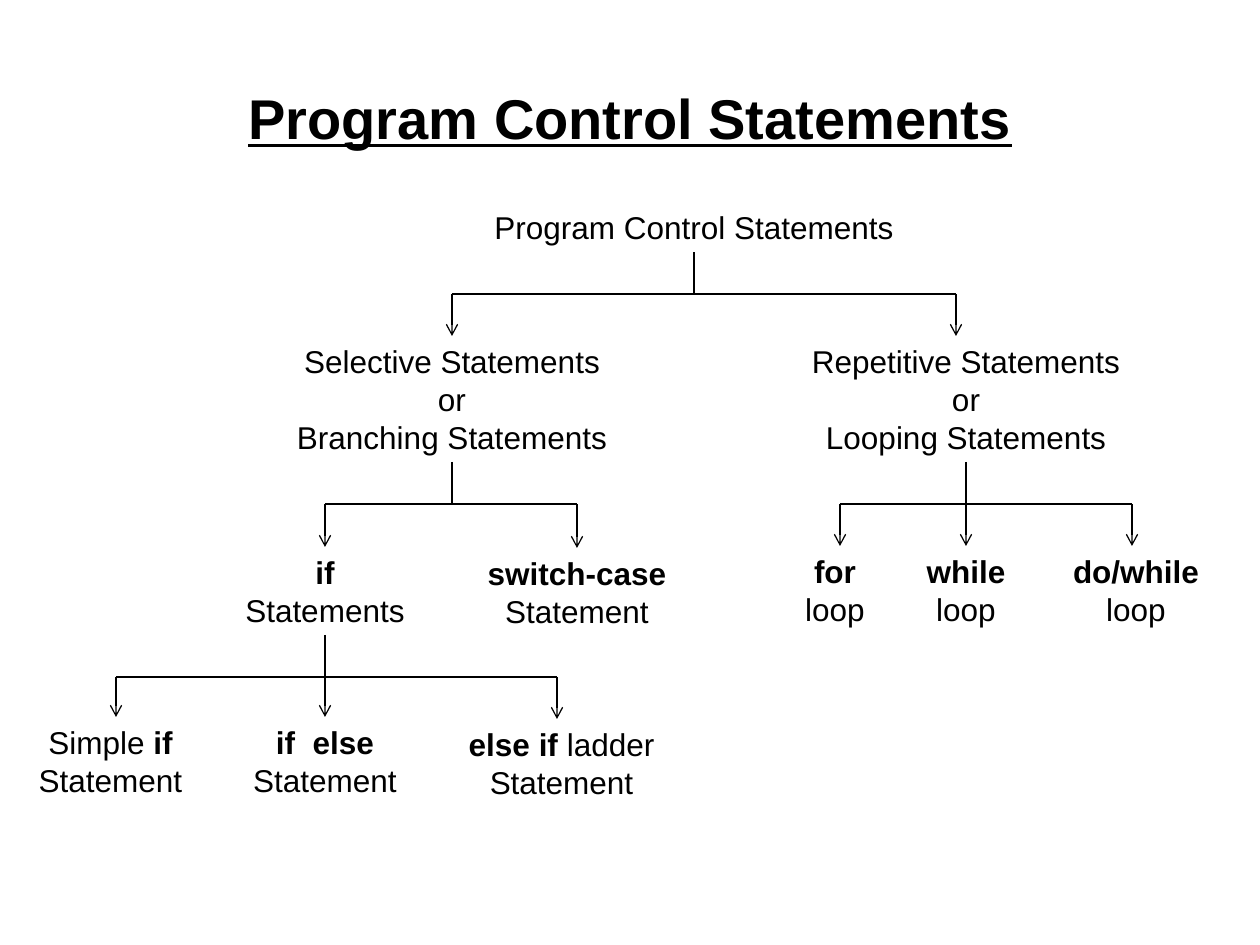
from lxml import etree
from pptx import Presentation
from pptx import util as u
from pptx.dml.color import RGBColor
from pptx.enum import shapes, text
from pptx.oxml.ns import qn

BLACK = RGBColor(0, 0, 0)
EMU_PER_PX = 914400 / 126


def px(length):
    return u.Emu(round(length * EMU_PER_PX))


def center_x(shape):
    return shape.left + shape.width // 2


class TreeSlide:
    font_name = "Arial"
    color = BLACK
    line_width = u.Pt(0.75)

    def __init__(self, slide):
        self.slide = slide

    def textbox(self, left, top, width, height):
        box = self.slide.shapes.add_textbox(px(left), px(top), px(width), px(height))
        box.text_frame.word_wrap = True
        return box

    def style(self, paragraph, size):
        paragraph.alignment = text.PP_ALIGN.CENTER
        font = paragraph.font
        font.name, font.size, font.color.rgb = self.font_name, u.Pt(size), self.color

    def title(self, wording, left, top, width, height):
        frame = self.textbox(left, top, width, height).text_frame
        frame.vertical_anchor = text.MSO_ANCHOR.MIDDLE
        paragraph = frame.paragraphs[0]
        paragraph.text = wording
        self.style(paragraph, 32)
        paragraph.font.bold = paragraph.font.underline = True

    def node(self, lines, left, top, width, height):
        """Add a label; parts between asterisks are bold."""
        box = self.textbox(left, top, width, height)
        frame = box.text_frame
        frame.auto_size = text.MSO_AUTO_SIZE.SHAPE_TO_FIT_TEXT
        for index, line in enumerate(lines):
            paragraph = frame.add_paragraph() if index else frame.paragraphs[0]
            self.style(paragraph, 18)
            for part, wording in enumerate(line.split("*")):
                if wording:
                    run = paragraph.add_run()
                    run.text = wording
                    if part % 2:
                        run.font.bold = True
        return box

    def line(self, x1, y1, x2, y2, arrow=False):
        connector = self.slide.shapes.add_connector(
            shapes.MSO_CONNECTOR.STRAIGHT, x1, y1, x2, y2)
        connector.line.color.rgb = self.color
        connector.line.width = self.line_width
        if arrow:
            tail = etree.SubElement(connector.line._get_or_add_ln(), qn("a:tailEnd"))
            tail.set("type", "arrow")
        etree.SubElement(connector._element.spPr, qn("a:effectLst"))
        return connector

    def branch(self, parent, bar_y, children):
        """Link parent to (child, arrow x) pairs; x None is the child's middle."""
        bar = px(bar_y)
        stem_x = center_x(parent)
        stem = self.line(stem_x, parent.top + parent.height, stem_x, bar)
        stem.begin_connect(parent, 2)
        arrow_xs = [center_x(child) if x is None else px(x) for child, x in children]
        self.line(min(arrow_xs), bar, max(arrow_xs), bar)
        for (child, x), arrow_x in zip(children, arrow_xs):
            arrow = self.line(arrow_x, bar, arrow_x, child.top, arrow=True)
            if x is None:
                arrow.end_connect(child, 0)


def main():
    presentation = Presentation()
    presentation.slide_width, presentation.slide_height = px(1260), px(945)
    tree = TreeSlide(presentation.slides.add_slide(presentation.slide_layouts[6]))

    tree.title("Program Control Statements", 63, 38, 1134, 158)
    root = tree.node(["Program Control Statements"], 469, 202, 450, 50)
    selective = tree.node(
        ["Selective Statements", "or", "Branching Statements"], 269, 336, 366, 126)
    repetitive = tree.node(
        ["Repetitive Statements", "or", "Looping Statements"], 788, 336, 356, 126)
    if_node = tree.node(["*if* Statements"], 230, 547, 190, 88)
    switch = tree.node(["*switch-case *Statement"], 472, 548, 210, 88)
    for_loop = tree.node(["*for *loop"], 788, 546, 94, 88)
    while_loop = tree.node(["*while *loop"], 914, 546, 104, 88)
    do_while = tree.node(["*do/while *loop"], 1057, 546, 158, 88)
    simple_if = tree.node(["Simple *if* Statement"], 21, 717, 179, 88)
    if_else = tree.node(["*if  else *Statement"], 230, 717, 190, 88)
    ladder = tree.node(["*else if *ladder Statement"], 451, 719, 221, 88)

    tree.branch(root, 294, [(selective, None), (repetitive, 956)])
    tree.branch(selective, 504, [(if_node, None), (switch, None)])
    tree.branch(repetitive, 504, [(for_loop, 840), (while_loop, None), (do_while, 1132)])
    tree.branch(if_node, 677, [(simple_if, 116), (if_else, None), (ladder, 557)])

    presentation.save("out.pptx")


if __name__ == "__main__":
    main()
